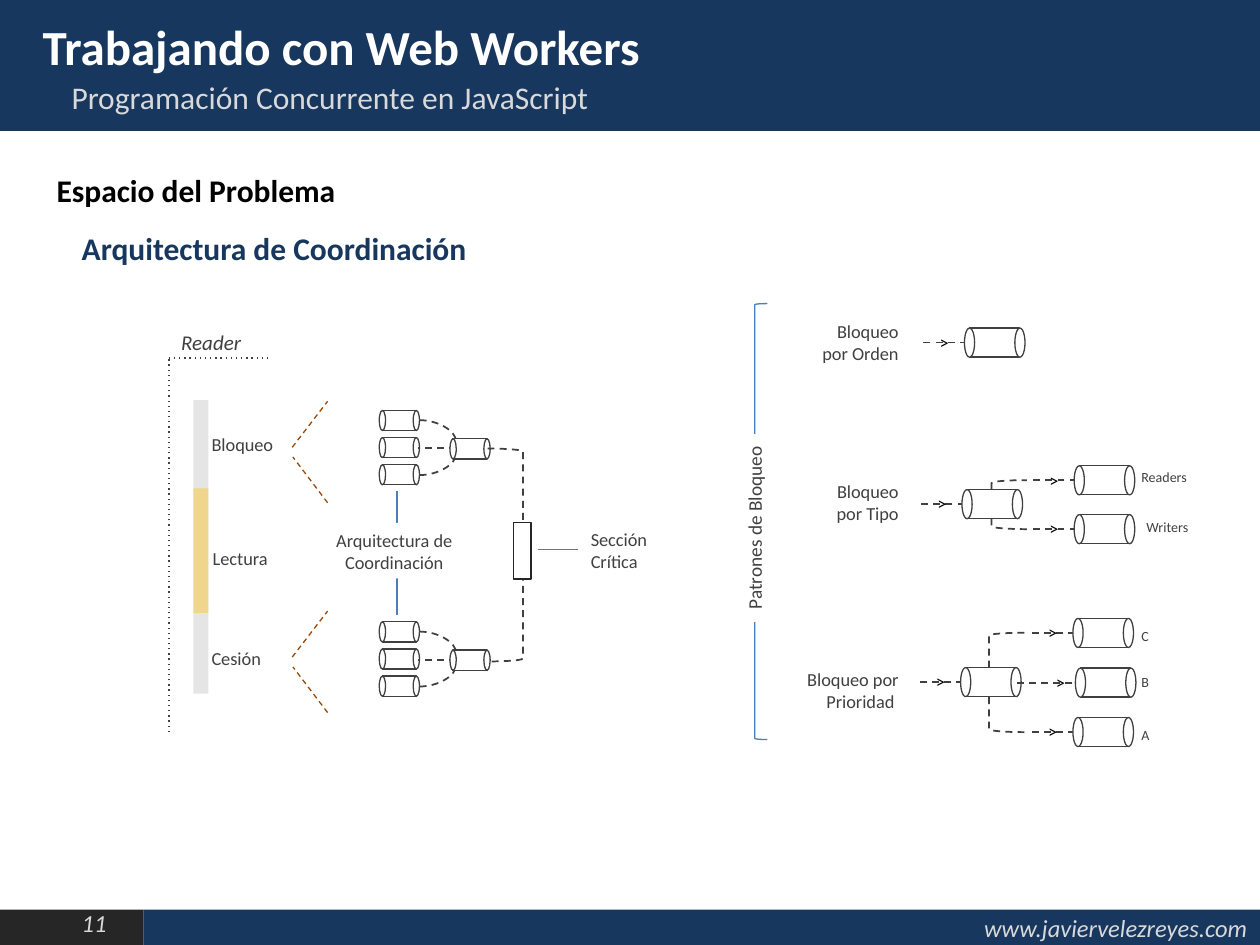
"""Builds the slide on the coordination architecture for web workers."""
from dataclasses import dataclass, field

from lxml import etree
from pptx import Presentation
from pptx import util as u
from pptx.dml.color import RGBColor
from pptx.enum import shapes, text
from pptx.oxml.ns import qn

COLORS = {
    "navy": "17375E", "black": "000000", "dark": "262626", "ink": "404040",
    "white": "FFFFFF", "pale": "D9D9D9", "blue": "4B7EBC", "brown": "984807",
    "amber": "FFC000",
}
SHAPE = shapes.MSO_SHAPE
LEFT, CENTER, RIGHT = text.PP_ALIGN.LEFT, text.PP_ALIGN.CENTER, text.PP_ALIGN.RIGHT
TOP, MIDDLE = text.MSO_ANCHOR.TOP, text.MSO_ANCHOR.MIDDLE


@dataclass
class Deck:
    slide: object
    font: str = "Calibri"
    colors: dict = field(default_factory=lambda: COLORS)

    def rgb(self, name):
        return RGBColor.from_string(self.colors[name])

    def stroke(self, line, color, width, dash):
        line.color.rgb = self.rgb(color)
        line.width = u.Pt(width)
        if dash:
            etree.SubElement(line._get_or_add_ln(), qn("a:prstDash"), val=dash)

    def set_text(self, sp, words, size, color, align, anchor, wrap, bold, italic):
        tf = sp.text_frame
        tf.text = words
        tf.word_wrap = wrap
        tf.vertical_anchor = anchor
        p = tf.paragraphs[0]
        p.alignment = align
        f = p.runs[0].font
        f.name, f.size, f.bold, f.italic = self.font, u.Pt(size), bold, italic
        f.color.rgb = self.rgb(color)

    def label(self, words, x, y, w, h, size=10.5, color="ink", align=LEFT,
              wrap=True, bold=False, italic=False):
        sp = self.slide.shapes.add_textbox(u.Pt(x), u.Pt(y), u.Pt(w), u.Pt(h))
        self.set_text(sp, words, size, color, align, TOP, wrap, bold, italic)

    def shape(self, kind, x, y, w, h, fill=None, line=None, width=0.75, dash=None, alpha=None):
        sp = self.slide.shapes.add_shape(kind, u.Pt(x), u.Pt(y), u.Pt(w), u.Pt(h))
        sp.shadow.inherit = False
        if fill:
            sp.fill.solid()
            sp.fill.fore_color.rgb = self.rgb(fill)
        else:
            sp.fill.background()
        if alpha:
            clr = sp._element.spPr.find(f".//{qn('a:srgbClr')}")
            etree.SubElement(clr, qn("a:alpha"), val=str(alpha * 1000))
        if line:
            self.stroke(sp.line, line, width, dash)
        else:
            sp.line.fill.background()
        return sp

    def box(self, words, x, y, w, h, fill="white", size=10.5, color="ink",
            align=CENTER, anchor=TOP, italic=False):
        sp = self.shape(SHAPE.RECTANGLE, x, y, w, h, fill)
        self.set_text(sp, words, size, color, align, anchor, True, False, italic)
        return sp

    def line(self, x1, y1, x2, y2, color="ink", width=0.75, dash=None, curved=False):
        c = self.slide.shapes.add_connector(
            shapes.MSO_CONNECTOR.STRAIGHT, u.Pt(x1), u.Pt(y1), u.Pt(x2), u.Pt(y2))
        spPr = c._element.spPr
        if curved:
            spPr.find(qn("a:prstGeom")).set("prst", "curvedConnector2")
        self.stroke(c.line, color, width, dash)
        etree.SubElement(spPr, qn("a:effectLst"))

    def cylinder(self, cx, cy, length, height, cap):
        self.shape(SHAPE.RECTANGLE, cx - length / 2, cy - height / 2, length, height, "white", "ink")
        for end in (cx - length / 2, cx + length / 2):
            self.shape(SHAPE.OVAL, end - cap / 2, cy - height / 2, cap, height, "white", "ink")

    def small_cylinder(self, cx, cy):
        self.cylinder(cx, cy, 19.4, 11.5, 3.6)

    def queue(self, cx, cy, start=-40.7, end=11.9, chevron=-38.5):
        self.line(cx + end, cy, cx + start, cy, width=1, dash="dash")
        self.cylinder(cx, cy, 28.8, 16.6, 5.8)
        self.label(">", cx + chevron, cy - 10.2, 20.2, 20.9, color="black", wrap=False)

    def merge(self, cy):
        x, gate_x, gap = 228.2, 268.6, 15.5
        for dy in (-gap, 0, gap):
            self.small_cylinder(x, cy + dy)
        self.line(260.6, cy + 0.4, 239, cy + 0.4, width=1, dash="dash")
        for side in (1, -1):
            self.line(239.8, cy + side * 15.7, 260.6, cy + side * 3.6, width=1, dash="dash", curved=True)
        self.small_cylinder(gate_x, cy + 0.7)


def frame(d):
    d.shape(SHAPE.RECTANGLE, -0.7, 519.8, 82.8, 20.9, "dark")
    d.box("www.javiervelezreyes.com", 82.1, 519.8, 637.9, 20.9, "navy", 14, "pale", RIGHT, MIDDLE, True)
    d.shape(SHAPE.RECTANGLE, 0, 0, 720, 74.9, "navy")
    d.label("11 ", 8.6, 515.5, 62.6, 24.5, 14, "pale", RIGHT, italic=True)
    d.label("Programación Concurrente en JavaScript", 33.8, 41, 661, 28.1, 18, "pale")
    d.label("Trabajando con Web Workers", 17.3, 5.8, 677.5, 33.8, 28, "white", bold=True)
    d.label("Arquitectura de Coordinación", 39.6, 127.4, 252.7, 28.1, 18, "navy", bold=True)
    d.label("Espacio del Problema", 25.2, 94.3, 185.8, 28.1, 18, "black", bold=True)


def reader(d):
    d.line(96.5, 204.5, 153.4, 204.5, dash="dot")
    d.line(96.5, 418.3, 96.5, 204.5, dash="dot")
    for words, x, y in (("Bloqueo", 113.8, 244.1), ("Cesión", 113.8, 366.5), ("Lectura", 114.5, 308.9)):
        d.label(words, x, y, 64, 21)
    d.shape(SHAPE.RECTANGLE, 110.5, 228.6, 8.6, 167.8, "black", alpha=10)
    d.shape(SHAPE.RECTANGLE, 110.5, 279, 8.6, 71.3, "amber", alpha=39)
    d.label("Reader", 96.5, 185, 59.8, 23, 12, italic=True)
    for y in (255.6, 375.5):
        d.line(167, y, 187.2, y - 26.3, "brown", dash="dash")
        d.line(187.2, y + 31.7, 167.4, y + 5.6, "brown", dash="dash")


def coordination(d):
    d.merge(255.8)
    d.shape(SHAPE.RIGHT_BRACKET, 278.6, 256.3, 20.2, 121.7, line="ink", width=1, dash="dash")
    d.shape(SHAPE.RECTANGLE, 293.4, 298.4, 10.1, 32.4, "white", "dark")
    d.merge(376.6)
    d.line(226.8, 280.8, 226.8, 351.4, "blue")
    d.box("Arquitectura de Coordinación", 177.8, 298.8, 95, 31.7)
    d.label("Sección Crítica", 330.5, 298.1, 63.4, 19.4)
    d.line(307.4, 313.9, 330.5, 313.9, "blue")


def patterns(d):
    d.shape(SHAPE.LEFT_BRACKET, 431.3, 173.5, 7.2, 249.1, line="blue")
    d.box("Patrones de Bloqueo", 375.8, 293, 107.3, 17.3, size=11).rotation = 270
    for words, x, y, w in (("Bloqueo por Orden", 455.8, 179.3, 64.8),
                           ("Bloqueo por Tipo", 455.8, 270.7, 64.8),
                           ("Bloqueo por Prioridad ", 452.9, 378, 67.7)):
        d.label(words, x, y, w, 21, align=RIGHT)

    d.queue(568.4, 195.8)

    for y in (274.5, 302.4):
        d.queue(631.1, y)
    d.shape(SHAPE.LEFT_BRACKET, 566.6, 274.4, 20.2, 28, line="ink", width=1, dash="dash")
    d.queue(567, 288.1)

    for y in (361.7, 418.3):
        d.queue(630.4, y)
    d.shape(SHAPE.LEFT_BRACKET, 565.2, 361.6, 20.2, 56.8, line="ink", width=1, dash="dash")
    d.queue(566.2, 389.8)
    d.queue(631.8, 390.1, -50.8, 1.8, -35.6)

    for words, x, y in (("Readers", 645.1, 264.2), ("Writers", 648, 293),
                        ("C", 645.1, 355), ("B", 645.1, 381.6), ("A", 645.1, 411.8)):
        d.label(words, x, y, 43.2 if len(words) > 1 else 20.2, 17.3, 8)


prs = Presentation()
prs.slide_width, prs.slide_height = u.Pt(720), u.Pt(540)
s = prs.slides.add_slide(prs.slide_layouts[6])
d = Deck(s)
for draw in (frame, reader, coordination, patterns):
    draw(d)
prs.save("out.pptx")
